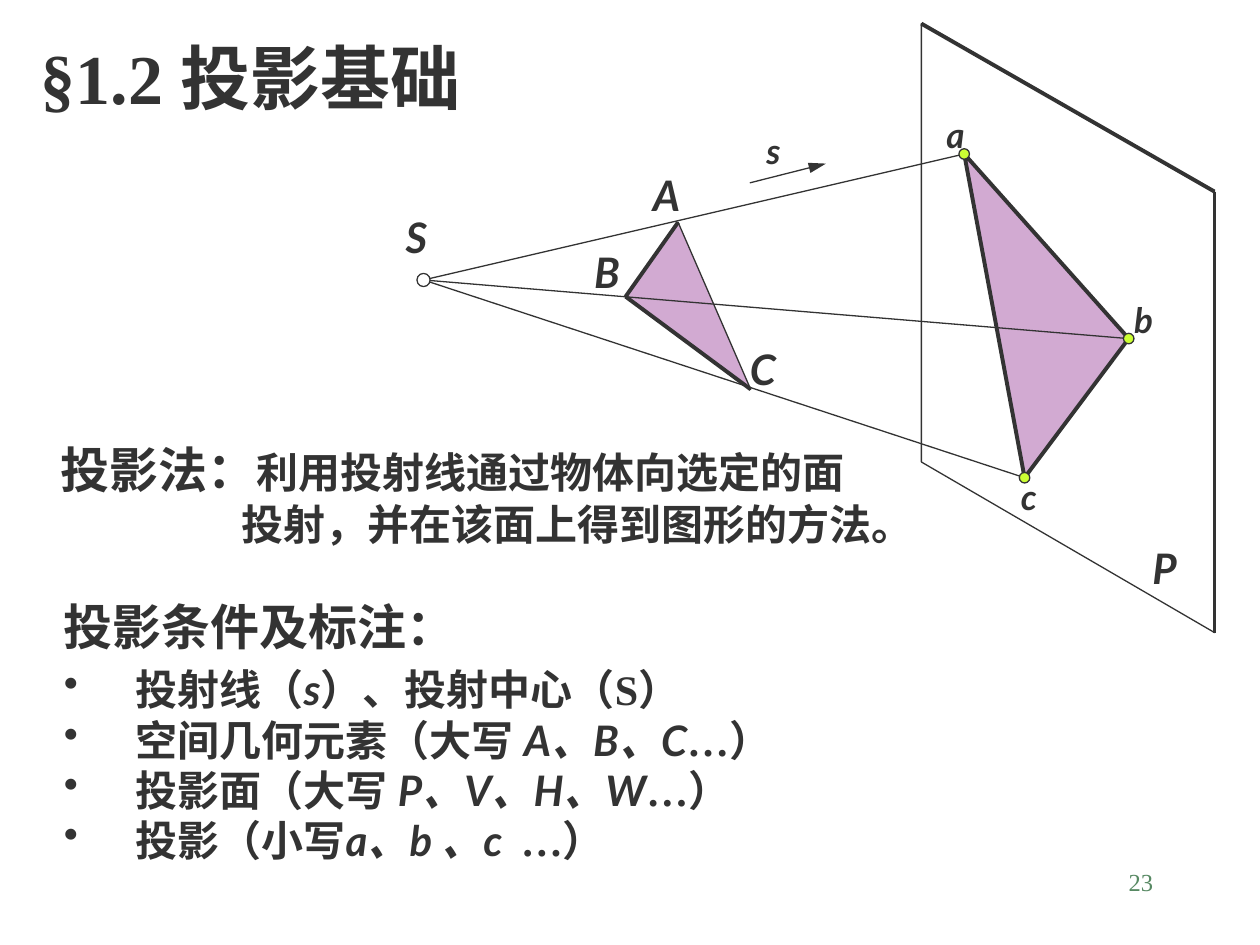
from pptx import Presentation
from pptx.dml.color import RGBColor
from pptx.enum import shapes, text
from pptx.oxml import ns
from pptx.util import Pt
from lxml import etree

INK = RGBColor(0x33, 0x33, 0x33)
GREEN = RGBColor(0x57, 0x89, 0x63)
MAUVE = RGBColor(0xD2, 0xAA, 0xD2)
LIME = RGBColor(0xCC, 0xFF, 0x33)
WHITE = RGBColor(0xFF, 0xFF, 0xFF)
SERIF, SANS = "Times New Roman", "Lato"
THIN, THICK = 0.75, 2.25


def write(paragraph, content, size=24, font=SERIF, color=INK, bold=True, italic=False):
    run = paragraph.add_run()
    run.text = content
    run.font.size, run.font.name = Pt(size), font
    run.font.bold, run.font.italic = bold, italic
    run.font.color.rgb = color
    latin = run.font._element.find(ns.qn("a:latin"))
    east_asian = etree.Element(ns.qn("a:ea"), typeface=SANS)
    latin.addnext(east_asian)


def add_line(start, end, width):
    connector = slide.shapes.add_connector(
        shapes.MSO_CONNECTOR.STRAIGHT, *(Pt(v) for v in (*start, *end)))
    connector.line.color.rgb = INK
    connector.line.width = Pt(width)
    etree.SubElement(connector._element.spPr, ns.qn("a:effectLst"))
    return connector


presentation = Presentation()
presentation.slide_width, presentation.slide_height = Pt(720), Pt(540)
slide = presentation.slides.add_slide(presentation.slide_layouts[5])

# Title
title = slide.shapes.title
title.left, title.top, title.width, title.height = Pt(16), Pt(16), Pt(333), Pt(55.5)
title.text_frame.vertical_anchor = text.MSO_ANCHOR.TOP
heading = title.text_frame.paragraphs[0]
heading.alignment = text.PP_ALIGN.LEFT
write(heading, "§1.2 ", size=40)
write(heading, "投影基础", size=40)

# Points of the projection, in slide coordinates
S = (242, 160)
A, B, C = (387.5, 127), (357.5, 169.5), (429, 222.5)
a, b, c = (551, 88), (645, 193.5), (585.5, 273)
plane = [(526.5, 13.5), (694, 109.5), (694, 361.5), (526.5, 264)]

# Plane and the two triangles
for corners, fill, width in [(plane, None, THIN), ((A, B, C), MAUVE, THIN),
                             ((a, b, c), MAUVE, THICK)]:
    (x, y), *others = [(Pt(px), Pt(py)) for px, py in corners]
    builder = slide.shapes.build_freeform(x, y)
    builder.add_line_segments(others, close=True)
    polygon = builder.convert_to_shape()
    polygon.shadow.inherit = False
    if fill is None:
        polygon.fill.background()
    else:
        polygon.fill.solid()
        polygon.fill.fore_color.rgb = fill
    polygon.line.color.rgb = INK
    polygon.line.width = Pt(width)

# Heavy edges, then the projection rays
for start, end in [plane[0:2], plane[1:3], (A, B), (B, C)]:
    add_line(start, end, THICK)
for end in (a, b, c):
    add_line(S, end, THIN)

arrow = add_line((428.5, 104.5), (472, 93.5), THIN)
etree.SubElement(arrow.line._get_or_add_ln(), ns.qn("a:tailEnd"),
                 type="triangle", w="med", len="lg")

# Nodes
for (x, y), diameter, fill in [(S, 7.5, WHITE), (a, 6, LIME), (b, 6, LIME), (c, 6, LIME)]:
    node = slide.shapes.add_shape(
        shapes.MSO_SHAPE.FLOWCHART_CONNECTOR, Pt(x - diameter / 2), Pt(y - diameter / 2),
        Pt(diameter), Pt(diameter))
    node.shadow.inherit = False
    node.fill.solid()
    node.fill.fore_color.rgb = fill
    node.line.color.rgb = INK
    node.line.width = Pt(THIN)

# Letters, each centred on a point
for letter, x, y, size in [
        ("P", 665.5, 324.5, 24), ("S", 238, 135.5, 24), ("A", 380, 111.5, 24),
        ("B", 346.5, 155, 24), ("C", 435.5, 210.5, 24), ("a", 546, 77, 20),
        ("b", 653.5, 182.5, 20), ("c", 588, 283.5, 20), ("s", 442, 86, 20)]:
    box = slide.shapes.add_textbox(Pt(x - 14), Pt(y - 18), Pt(28), Pt(36))
    box.text_frame.word_wrap = False
    box.text_frame.vertical_anchor = text.MSO_ANCHOR.MIDDLE
    paragraph = box.text_frame.paragraphs[0]
    paragraph.alignment = text.PP_ALIGN.CENTER
    write(paragraph, letter, size=size, font=SANS, italic=True)

# Definition
definition = slide.shapes.add_textbox(Pt(27.5), Pt(247.5), Pt(522), Pt(70)).text_frame
definition.word_wrap = True
definition.vertical_anchor = text.MSO_ANCHOR.MIDDLE
paragraph = definition.paragraphs[0]
write(paragraph, "投影法：", size=28)
write(paragraph, "利用投射线通过物体向选定的面")
paragraph = definition.add_paragraph()
paragraph._p.get_or_add_pPr().set("marL", str(Pt(103.5)))
write(paragraph, "投射，并在该面上得到图形的方法。")

# Conditions and notation: plain, italic, plain
conditions = slide.shapes.add_textbox(Pt(29.5), Pt(337), Pt(507), Pt(161)).text_frame
conditions.word_wrap = True
conditions.vertical_anchor = text.MSO_ANCHOR.MIDDLE
write(conditions.paragraphs[0], "投影条件及标注：", size=28)
for index, (before, symbols, after) in enumerate([
        ("投射线（", "s", "）、投射中心（S）"),
        ("空间几何元素（大写 ", "A、B、C", "…）"),
        ("投影面（大写 ", "P、V、H、W", "…）"),
        ("投影（小写", "a、b 、c  ", "…）")]):
    paragraph = conditions.add_paragraph()
    properties = paragraph._p.get_or_add_pPr()
    properties.set("marL", str(Pt(41)))
    properties.set("indent", str(-Pt(41)))
    etree.SubElement(properties, ns.qn("a:buChar"), char="•")
    if index == 0:
        paragraph.space_before = Pt(5)
    write(paragraph, before)
    write(paragraph, symbols, font=SANS, italic=True)
    write(paragraph, after)

# Slide number
number = slide.shapes.add_textbox(Pt(516), Pt(492), Pt(150), Pt(36)).text_frame
number.word_wrap = True
number.paragraphs[0].alignment = text.PP_ALIGN.RIGHT
write(number.paragraphs[0], "23", size=14, color=GREEN, bold=False)

presentation.save("out.pptx")
